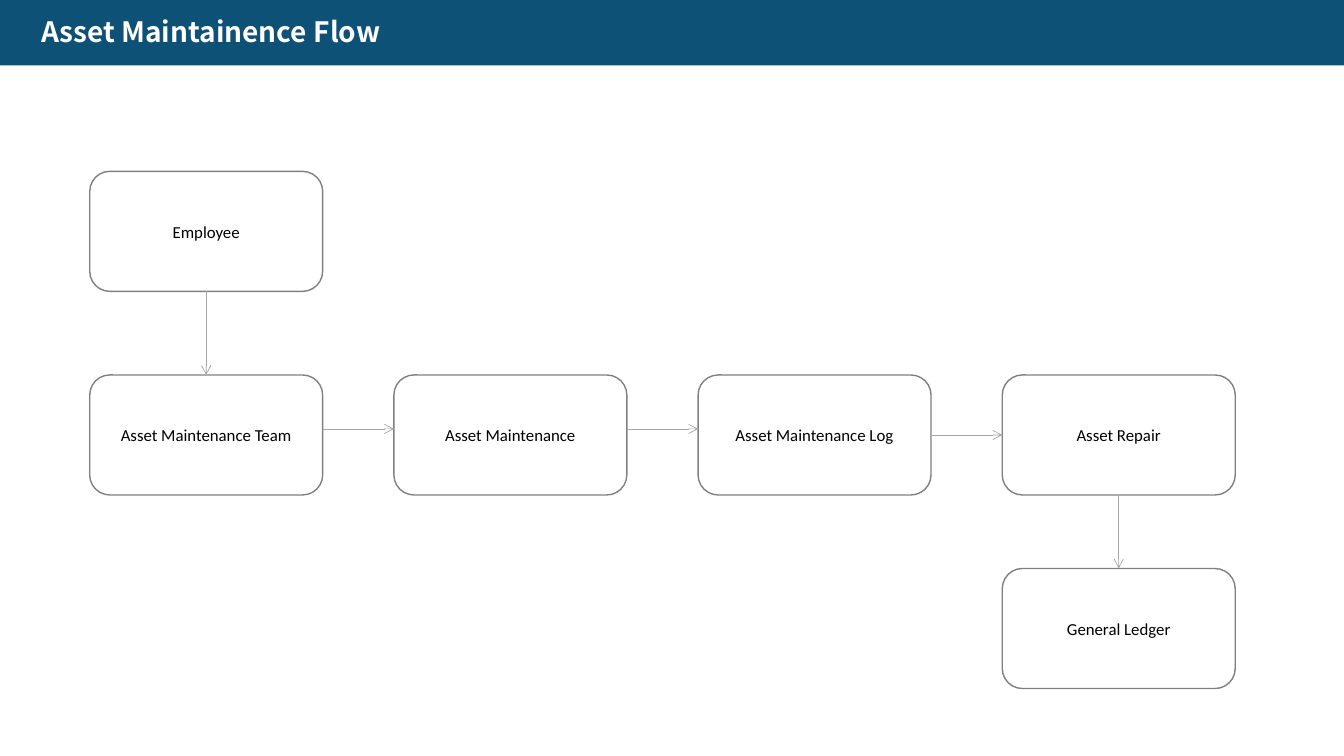
from pptx import Presentation
from pptx.dml.color import RGBColor
from pptx.enum.shapes import MSO_CONNECTOR, MSO_SHAPE
from pptx.enum.text import MSO_ANCHOR, PP_ALIGN
from pptx.oxml.ns import qn
from pptx.util import Inches, Pt
from lxml.etree import SubElement

COLORS = {"banner": "0D5176", "paper": "FFFFFF", "outline": "808080", "arrow": "A5A5A5", "ink": "000000"}
SLIDE_WIDTH, SLIDE_HEIGHT = 13.33, 7.5
NODE_WIDTH, NODE_HEIGHT = 2.31, 1.19
FLOW_LEFT, COLUMN_STEP = 0.89, 3.017
ROW_TOPS = (1.7, 3.72, 5.64)
NODES = {
    "Employee": (0, 0),
    "Asset Maintenance Team": (0, 1),
    "Asset Maintenance": (1, 1),
    "Asset Maintenance Log": (2, 1),
    "Asset Repair": (3, 1),
    "General Ledger": (3, 2),
}
LINKS = (
    ("Employee", "Asset Maintenance Team", 0.5),
    ("Asset Maintenance Team", "Asset Maintenance", 0.45),
    ("Asset Maintenance", "Asset Maintenance Log", 0.45),
    ("Asset Maintenance Log", "Asset Repair", 0.5),
    ("Asset Repair", "General Ledger", 0.5),
)
TITLE_FORMAT = {"name": "Noto Sans CJK SC", "size": Pt(20), "bold": True}
NODE_FORMAT = {"name": "Calibri", "size": Pt(12), "bold": False}


def color(name):
    """Return the named colour."""
    return RGBColor.from_string(COLORS[name])


def write_text(box, text, formats, ink):
    """Write one formatted span into the first paragraph of a box."""
    para = box.text_frame.paragraphs[0]
    span = para.add_run()
    span.text = text
    for key, value in formats.items():
        setattr(span.font, key, value)
    span.font.color.rgb = color(ink)
    return para


def add_block(page, kind, area, fill):
    """Add a flat filled shape in the given area."""
    block = page.shapes.add_shape(kind, *map(Inches, area))
    block.shadow.inherit = False
    block.fill.solid()
    block.fill.fore_color.rgb = color(fill)
    return block


def add_banner(page, area, title):
    """Draw the title band with its heading."""
    left, top, width, height = area
    band = add_block(page, MSO_SHAPE.RECTANGLE, area, "banner")
    band.line.fill.background()
    title_area = (left + 0.31, top + 0.15 * height, 0.61 * width, 0.68 * height)
    box = page.shapes.add_textbox(*map(Inches, title_area))
    box.text_frame.word_wrap = True
    write_text(box, title, TITLE_FORMAT, "paper")


def add_node(page, area, label):
    """Draw one rounded step of the flow."""
    node = add_block(page, MSO_SHAPE.ROUNDED_RECTANGLE, area, "paper")
    node.line.color.rgb = color("outline")
    node.line.width = Pt(1)
    node.text_frame.word_wrap = True
    node.text_frame.vertical_anchor = MSO_ANCHOR.MIDDLE
    write_text(node, label, NODE_FORMAT, "ink").alignment = PP_ALIGN.CENTER


def add_arrow(page, start, end):
    """Draw a thin open-headed arrow between two points."""
    arrow = page.shapes.add_connector(MSO_CONNECTOR.STRAIGHT, *map(Inches, start + end))
    arrow.line.color.rgb = color("arrow")
    arrow.line.width = Pt(0.5)
    SubElement(arrow.line._get_or_add_ln(), qn("a:tailEnd"), type="arrow")
    SubElement(arrow._element.spPr, qn("a:effectLst"))


def add_flow(page, left, row_tops):
    """Place the steps on their grid and link them."""
    corners = {
        label: (left + column * COLUMN_STEP, row_tops[row])
        for label, (column, row) in NODES.items()
    }
    for label, corner in corners.items():
        add_node(page, corner + (NODE_WIDTH, NODE_HEIGHT), label)
    for source, target, share in LINKS:
        (source_x, source_y), (target_x, target_y) = corners[source], corners[target]
        if source_x == target_x:
            middle = source_x + share * NODE_WIDTH
            add_arrow(page, (middle, source_y + NODE_HEIGHT), (middle, target_y))
        else:
            level = source_y + share * NODE_HEIGHT
            add_arrow(page, (source_x + NODE_WIDTH, level), (target_x, level))


def main():
    """Build and save the deck."""
    deck = Presentation()
    deck.slide_width, deck.slide_height = Inches(SLIDE_WIDTH), Inches(SLIDE_HEIGHT)
    page = deck.slides.add_slide(deck.slide_layouts[6])
    add_banner(page, (0, 0, SLIDE_WIDTH, 0.65), "Asset Maintainence Flow")
    add_flow(page, FLOW_LEFT, ROW_TOPS)
    deck.save("out.pptx")


if __name__ == "__main__":
    main()
